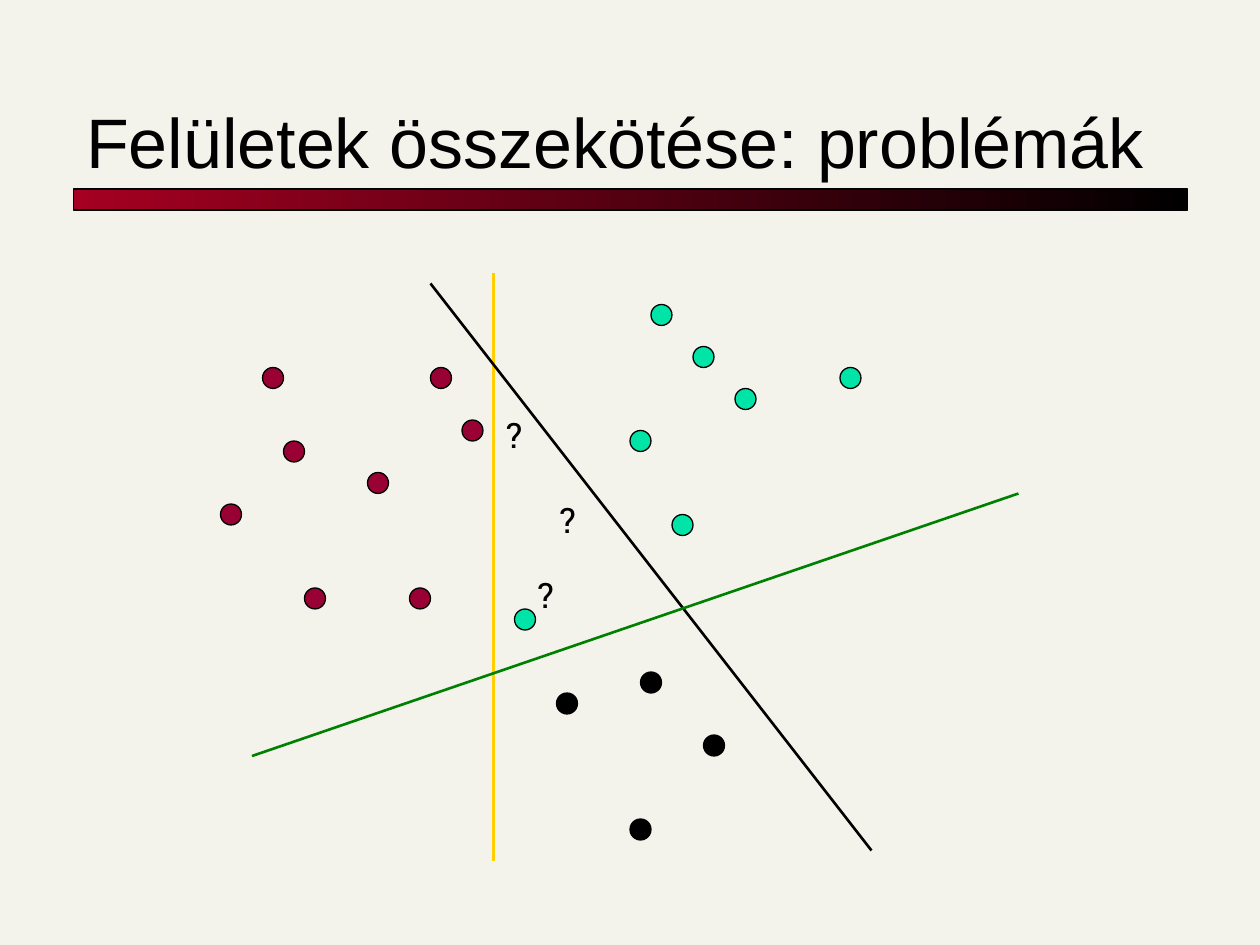
from pptx import Presentation
from pptx.dml.color import RGBColor
from pptx.enum import shapes, text
from pptx.oxml.ns import qn
from pptx.util import Emu, Pt
from lxml import etree

PX = 7620  # 120 px to the inch
BLACK = "000000"
DOT = 20

TITLE = "Felületek összekötése: problémák"
GROUPS = {  # colour: left, top of each dot
    "990033": [(250, 350), (270, 420), (290, 560), (410, 350), (210, 480),
               (350, 450), (440, 400), (390, 560)],
    "00E4A8": [(600, 410), (620, 290), (640, 490), (660, 330), (800, 350),
               (700, 370), (490, 580)],
    BLACK: [(610, 640), (530, 660), (600, 780), (670, 700)],
}
LINES = [  # start, end, colour
    ((470, 260), (470, 820), "FFCF01"),
    ((410, 270), (830, 810), BLACK),
    ((240, 720), (970, 470), "008000"),
]
MARKS = [(500, 540), (470, 388), (521, 469)]


def px(*vals):
    return [Emu(v * PX) for v in vals]


def rgb(code):
    return RGBColor.from_string(code)


def shape(kind, *box):
    """Add a black-edged shape without shadow."""
    item = slide.shapes.add_shape(kind, *px(*box))
    item.shadow.inherit = False
    item.line.color.rgb = rgb(BLACK)
    item.line.width = Pt(0.75)
    return item


def write(frame, words, font, size):
    frame.text = words
    para = frame.paragraphs[0]
    para.alignment = text.PP_ALIGN.LEFT
    para.font.name, para.font.size = font, Pt(size)
    para.font.color.rgb = rgb(BLACK)


deck = Presentation()
deck.slide_width, deck.slide_height = px(1200, 900)
slide = deck.slides.add_slide(deck.slide_layouts[5])
slide.background.fill.solid()
slide.background.fill.fore_color.rgb = rgb("F4F3EB")

bar = shape(shapes.MSO_SHAPE.RECTANGLE, 70, 180, 1061, 20)
bar.fill.gradient()
bar.fill.gradient_angle = 0
for stop, code, pos in zip(bar.fill.gradient_stops, ("A50021", BLACK), (0, 1)):
    stop.color.rgb = rgb(code)
    stop.position = pos

title = slide.shapes.title
title.left, title.top, title.width, title.height = px(70, 50, 1060, 130)
write(title.text_frame, TITLE, "Arial", 40)
title.text_frame.vertical_anchor = text.MSO_ANCHOR.BOTTOM
title.text_frame.auto_size = text.MSO_AUTO_SIZE.NONE

for start, end, code in LINES:
    line = slide.shapes.add_connector(
        shapes.MSO_CONNECTOR.STRAIGHT, *px(*start, *end))
    line.line.color.rgb = rgb(code)
    line.line.width = Pt(1.5)
    etree.SubElement(line._element.spPr, qn("a:effectLst"))

for x, y in MARKS:
    frame = slide.shapes.add_textbox(*px(x, y, 38, 52)).text_frame
    frame.word_wrap = False
    frame.auto_size = text.MSO_AUTO_SIZE.SHAPE_TO_FIT_TEXT
    write(frame, "?", "Roboto Slab", 20)

for code, spots in GROUPS.items():
    for x, y in spots:
        dot = shape(shapes.MSO_SHAPE.OVAL, x, y, DOT, DOT)
        dot.fill.solid()
        dot.fill.fore_color.rgb = rgb(code)

deck.save("out.pptx")
